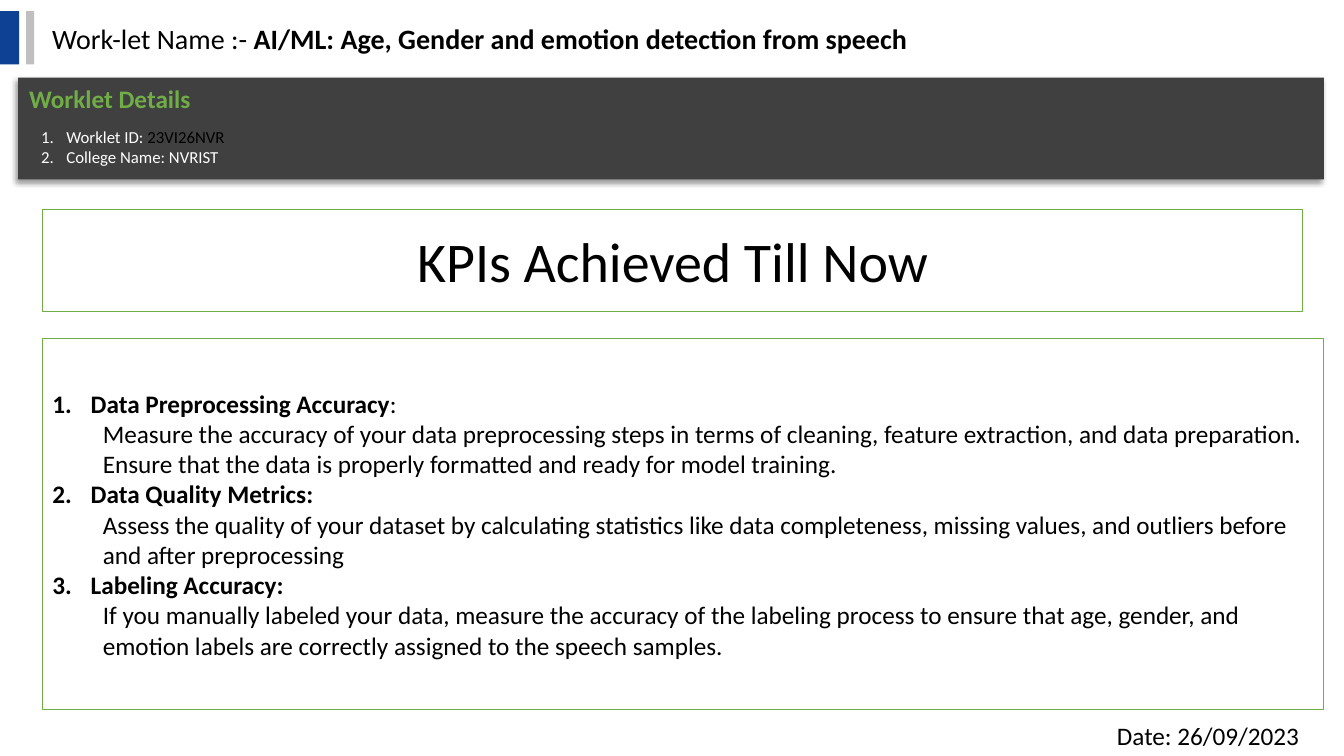
from dataclasses import dataclass

from lxml import etree
from pptx import Presentation
from pptx import util as u
from pptx.dml.color import RGBColor
from pptx.enum import shapes, text
from pptx.oxml import ns

PX = 9144


@dataclass(frozen=True)
class Theme:
    font: str = "Calibri"
    black: str = "000000"
    white: str = "FFFFFF"
    green: str = "70AD47"
    blue: str = "0E4094"
    grey: str = "BFBFBF"
    charcoal: str = "404040"
    headline: int = 40
    name: int = 20
    body: int = 18
    detail: int = 12


THEME = Theme()

KPIS = [
    ([("Data Preprocessing Accuracy", True), (":", False)],
     "Measure the accuracy of your data preprocessing steps in terms of cleaning, "
     "feature extraction, and data preparation. Ensure that the data is properly "
     "formatted and ready for model training."),
    ([("Data Quality Metrics:", True)],
     "Assess the quality of your dataset by calculating statistics like data "
     "completeness, missing values, and outliers before and after preprocessing"),
    ([("Labeling Accuracy:", True)],
     "If you manually labeled your data, measure the accuracy of the labeling process "
     "to ensure that age, gender, and emotion labels are correctly assigned to the "
     "speech samples."),
]


def px(length):
    return u.Emu(length * PX)


def rgb(colour):
    return RGBColor.from_string(colour)


def place(part, box):
    part.left, part.top, part.width, part.height = map(px, box)


def add_words(paragraph, words, size, colour=THEME.black, bold=False):
    run = paragraph.add_run()
    run.text = words
    run.font.name = THEME.font
    run.font.size = u.Pt(size)
    run.font.bold = bold
    run.font.color.rgb = rgb(colour)


def next_paragraph(frame, index):
    return frame.add_paragraph() if index else frame.paragraphs[0]


def indent(paragraph, margin, hanging=0):
    paragraph.space_before = u.Pt(0)
    properties = paragraph._p.get_or_add_pPr()
    properties.set("marL", str(px(margin)))
    properties.set("indent", str(px(-hanging)))
    if hanging:
        etree.SubElement(properties, ns.qn("a:buAutoNum"), type="arabicPeriod")
    else:
        etree.SubElement(properties, ns.qn("a:buNone"))


def add_block(slide, box, colour):
    block = slide.shapes.add_shape(shapes.MSO_SHAPE.RECTANGLE, *map(px, box))
    block.fill.solid()
    block.fill.fore_color.rgb = rgb(colour)
    block.line.fill.background()
    block.shadow.inherit = False
    return block


def add_label(slide, box, wrap=True, anchor=text.MSO_ANCHOR.MIDDLE):
    frame = slide.shapes.add_textbox(*map(px, box)).text_frame
    frame.word_wrap = wrap
    frame.vertical_anchor = anchor
    return frame


def add_drop_shadow(block):
    effects = block._element.spPr.find(ns.qn("a:effectLst"))
    shadow = etree.SubElement(
        effects, ns.qn("a:outerShdw"), blurRad=str(u.Pt(4)), dist=str(u.Pt(3)),
        dir="8100000", algn="tr", rotWithShape="0")
    shade = etree.SubElement(shadow, ns.qn("a:srgbClr"), val=THEME.black)
    etree.SubElement(shade, ns.qn("a:alpha"), val="40000")


def frame_placeholder(placeholder, box):
    place(placeholder, box)
    placeholder.fill.solid()
    placeholder.fill.fore_color.rgb = rgb(THEME.white)
    placeholder.line.color.rgb = rgb(THEME.green)
    placeholder.line.width = u.Pt(1)
    frame = placeholder.text_frame
    frame.auto_size = text.MSO_AUTO_SIZE.NONE
    frame.word_wrap = True
    frame.vertical_anchor = text.MSO_ANCHOR.MIDDLE
    return frame


def worklet_name(slide, box):
    left, top, width, height = box
    add_block(slide, (left, top, 19, height), THEME.blue)
    add_block(slide, (left + 26, top, 8, height), THEME.grey)
    name = add_label(slide, (left + 42, top + 5, width - 42, 44)).paragraphs[0]
    add_words(name, "Work-let Name :- ", THEME.name)
    add_words(name, "AI/ML: Age, Gender and emotion detection from speech",
              THEME.name, bold=True)


def worklet_details(slide, box):
    left, top, width, height = box
    add_drop_shadow(add_block(slide, box, THEME.charcoal))
    heading = add_label(slide, (left + 1, top + 1, 182, 40), False, text.MSO_ANCHOR.TOP)
    add_words(heading.paragraphs[0], "Worklet Details", THEME.body, THEME.green, True)
    details = add_label(slide, (left + 13, top + 44, 785, 50), anchor=text.MSO_ANCHOR.TOP)
    rows = [
        [("Worklet ID: ", THEME.white), ("23VI26NVR", THEME.black)],
        [("College Name: NVRIST", THEME.white)],
    ]
    for index, row in enumerate(rows):
        detail = next_paragraph(details, index)
        indent(detail, 25, 25)
        for words, colour in row:
            add_words(detail, words, THEME.detail, colour)


def kpi_title(slide, box):
    headline = frame_placeholder(slide.shapes.title, box).paragraphs[0]
    headline.alignment = text.PP_ALIGN.CENTER
    add_words(headline, "KPIs Achieved Till Now", THEME.headline)


def kpi_list(slide, box):
    frame = frame_placeholder(slide.placeholders[1], box)
    for index, (heading, explanation) in enumerate(KPIS):
        kpi = next_paragraph(frame, index)
        indent(kpi, 38, 38)
        for words, bold in heading:
            add_words(kpi, words, THEME.body, bold=bold)
        measure = frame.add_paragraph()
        measure.level = 1
        indent(measure, 50)
        add_words(measure, explanation, THEME.body)


def date_line(slide, box):
    date = add_label(slide, box).paragraphs[0]
    add_words(date, "Date: 26/09/2023", THEME.body)


def main():
    deck = Presentation()
    deck.slide_width, deck.slide_height = px(1333), px(750)
    slide = deck.slides.add_slide(deck.slide_layouts[1])
    worklet_details(slide, (18, 77, 1295, 101))
    worklet_name(slide, (0, 11, 1138, 53))
    kpi_title(slide, (42, 208, 1250, 101))
    kpi_list(slide, (42, 336, 1271, 368))
    date_line(slide, (1098, 710, 235, 40))
    deck.save("out.pptx")


if __name__ == "__main__":
    main()
